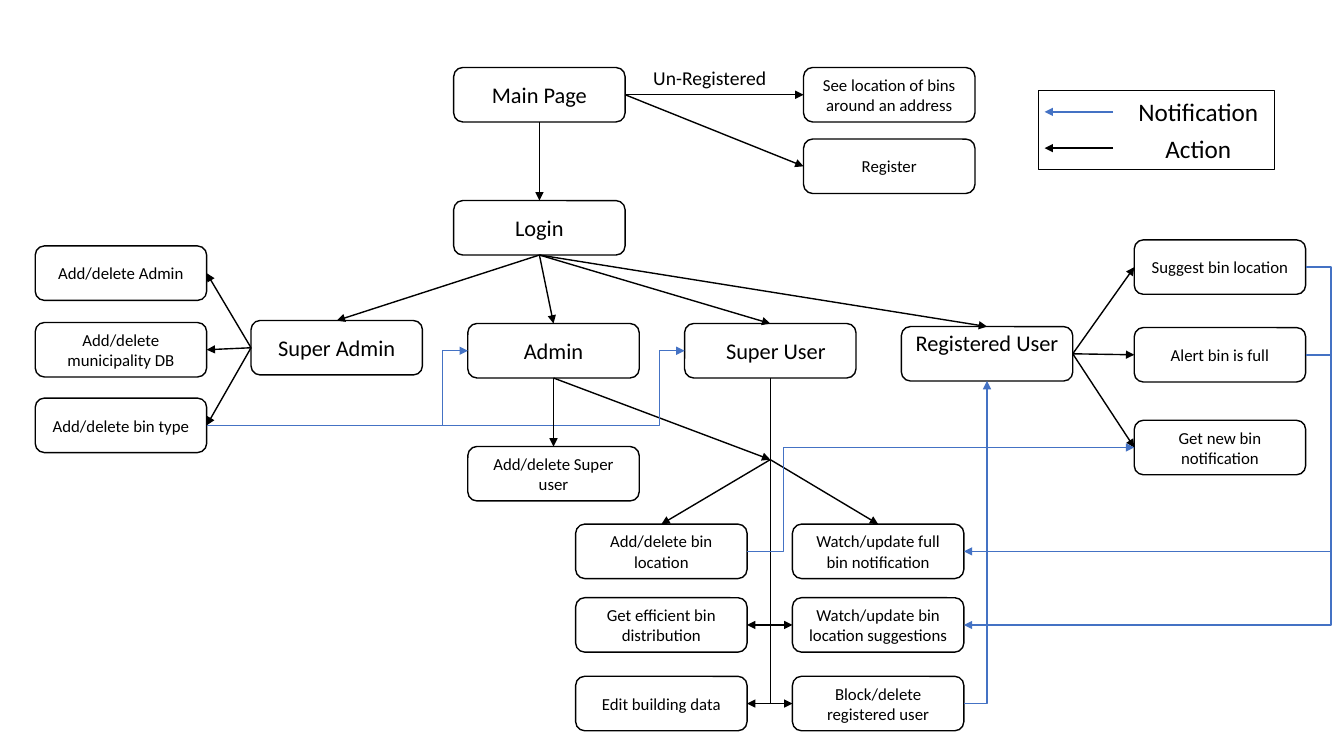
from pptx import Presentation
from pptx.dml.color import RGBColor
from pptx.enum.shapes import MSO_CONNECTOR as Link, MSO_SHAPE as Shape
from pptx.enum.text import MSO_ANCHOR as Anchor, PP_ALIGN as Align
from pptx.oxml.ns import qn
from pptx.util import Inches, Pt
from lxml.etree import SubElement

BLACK, BLUE, WHITE = "000000", "4472C4", "FFFFFF"
WIDE, HIGH, STEP = 1.7, 0.54, 2.15
TOP, LEFT, BASE, RIGHT = range(4)


def color(code):
    """Turn a hex string into a colour."""
    return RGBColor.from_string(code)


def write(shape, text, size=12, anchor=Anchor.MIDDLE, left=0.1, top=0.05, wrap=True):
    """Put centred text into a shape."""
    frame = shape.text_frame
    frame.word_wrap = wrap
    frame.vertical_anchor = anchor
    frame.margin_left, frame.margin_top = Inches(left), Inches(top)
    para = frame.paragraphs[0]
    para.alignment = Align.CENTER
    run = para.add_run()
    run.text = text
    run.font.name, run.font.size = "Calibri", Pt(size)
    run.font.color.rgb = color(BLACK)


def frame(page, kind, x, y, w, h, fill=None):
    """Draw an outlined shape."""
    shape = page.shapes.add_shape(kind, Inches(x), Inches(y), Inches(w), Inches(h))
    shape.shadow.inherit = False
    if fill:
        shape.fill.solid()
        shape.fill.fore_color.rgb = color(fill)
    else:
        shape.fill.background()
    shape.line.color.rgb = color(BLACK)
    shape.line.width = Pt(1)
    return shape


def node(page, x, y, text, fill=None, **style):
    """Draw one rounded step of the flow."""
    shape = frame(page, Shape.ROUNDED_RECTANGLE, x, y, WIDE, HIGH, fill)
    write(shape, text, **style)
    return shape


def label(page, x, y, w, h, text, **style):
    """Place text without an outline."""
    write(page.shapes.add_textbox(Inches(x), Inches(y), Inches(w), Inches(h)), text, **style)


def arrow(page, start, end, code=BLACK, kind=Link.STRAIGHT, tip="tailEnd"):
    """Link two ends, each a point or a shape with its side."""
    line = page.shapes.add_connector(kind, 0, 0, 0, 0)
    if isinstance(start[0], (int, float)):
        line.begin_x, line.begin_y = map(Inches, start)
    else:
        line.begin_connect(*start)
    if isinstance(end[0], (int, float)):
        line.end_x, line.end_y = map(Inches, end)
    else:
        line.end_connect(*end)
    line.line.color.rgb = color(code)
    line.line.width = Pt(1)
    SubElement(line.line._get_or_add_ln(), qn("a:" + tip), type="triangle")
    SubElement(line._element.spPr, qn("a:effectLst"))
    return line


def bend(page, start, end, turn, code=BLUE):
    """Draw an elbow whose upright runs at the given x."""
    line = arrow(page, start, end, code, Link.ELBOW)
    part = (Inches(turn) - line.begin_x) / (line.end_x - line.begin_x)
    guides = line._element.spPr.find(qn("a:prstGeom")).get_or_add_avLst()
    SubElement(guides, qn("a:gd"), name="adj1", fmla=f"val {round(part * 100000)}")


def corner(page, start, end, code=BLACK, tip="headEnd"):
    """Draw an elbow with one turn, sideways and then upright."""
    line = arrow(page, start, end, code, Link.ELBOW, tip)
    line._element.spPr.find(qn("a:prstGeom")).set("prst", "bentConnector2")


def entry(page, x, y):
    """Draw the main page, its open steps and the login."""
    main = node(page, x, y, "Main Page", size=16)
    login = node(page, x, y + 1.32, "Login", size=16)
    see = node(page, x + 3.47, y, "See location of bins around an address")
    join = node(page, x + 3.47, y + 0.71, "Register")
    label(page, x + 1.69, y - 0.17, WIDE, HIGH, "Un-Registered", size=14)
    arrow(page, (main, BASE), (login, TOP))
    for step in (see, join):
        arrow(page, (main, RIGHT), (step, LEFT))
    return login


def legend(page, x, y):
    """Draw the key to the arrow colours."""
    frame(page, Shape.RECTANGLE, x, y, 2.34, 0.78)
    for row, (text, code) in enumerate((("Notification", BLUE), ("Action", BLACK))):
        level = y + 0.21 + row * 0.36
        arrow(page, (x + 0.74, level), (x + 0.06, level), code)
        label(page, x + 0.88, level - 0.2, 1.41, 0.4, text, size=18, wrap=False)


def roles(page, x, y, login):
    """Draw the four roles that follow the login."""
    kinds = (
        ("Super Admin", 0, {}),
        ("Admin", 0.03, {}),
        ("Super User", 0.03, {"left": 0.21}),
        ("Registered User", 0.06, {"anchor": Anchor.TOP, "top": 0}),
    )
    boxes = []
    for col, (text, drop, style) in enumerate(kinds):
        box = node(page, x + col * STEP, y + drop, text, size=16, **style)
        arrow(page, (login, BASE), (box, TOP))
        boxes.append(box)
    return boxes


def column(page, x, y, role, side, steps):
    """Draw a role's steps in a column beside it."""
    boxes = []
    for text, drop in steps:
        box = node(page, x, y + drop, text)
        arrow(page, (role, side), (box, LEFT + RIGHT - side))
        boxes.append(box)
    return boxes


def bins(page, x, y, admin, user):
    """Draw the shared bin steps around their hub."""
    rows = (
        (0, "Add/delete bin location", "Watch/update full bin notification"),
        (0.73, "Get efficient bin distribution", "Watch/update bin location suggestions"),
        (1.51, "Edit building data", "Block/delete registered user"),
    )
    hub = (x + 1.93, y - 0.64)
    arrow(page, (admin, BASE), hub)
    pairs = [[node(page, x + col * STEP, y + drop, text) for col, text in enumerate(texts)]
             for drop, *texts in rows]
    for box in pairs[0]:
        arrow(page, hub, (box, TOP))
    for pair, source in zip(pairs[1:], ((user, BASE), hub)):
        for box, side in zip(pair, (RIGHT, LEFT)):
            corner(page, (box, side), source)
    return pairs


def build():
    """Build the slide and save it."""
    deck = Presentation()
    deck.slide_width, deck.slide_height = Inches(13.33), Inches(7.5)
    page = deck.slides.add_slide(deck.slide_layouts[6])
    login = entry(page, 4.5, 0.67)
    legend(page, 10.3, 0.9)
    chief, admin, user, member = roles(page, 2.49, 3.18, login)
    types = column(page, 0.35, 2.44, chief, LEFT, (
        ("Add/delete Admin", 0),
        ("Add/delete municipality DB", 0.76),
        ("Add/delete bin type", 1.51),
    ))[-1]
    offer, alert, news = column(page, 11.25, 2.38, member, RIGHT, (
        ("Suggest bin location", 0),
        ("Alert bin is full", 0.87),
        ("Get new bin notification", 1.79),
    ))
    (place, full), (_, ideas), (_, block) = bins(page, 5.71, 5.2, admin, user)
    for role, turn in ((admin, 4.39), (user, 6.54)):
        bend(page, (types, RIGHT), (role, LEFT), turn)
    bend(page, (place, RIGHT), (news, LEFT), 7.77)
    for start, end in ((alert, full), (offer, ideas)):
        bend(page, (start, RIGHT), (end, RIGHT), 13.2)
    corner(page, (block, RIGHT), (member, BASE), BLUE, "tailEnd")
    extra = node(page, 4.64, 4.43, "Add/delete Super user", WHITE)
    arrow(page, (admin, BASE), (extra, TOP))
    deck.save("out.pptx")


if __name__ == "__main__":
    build()
